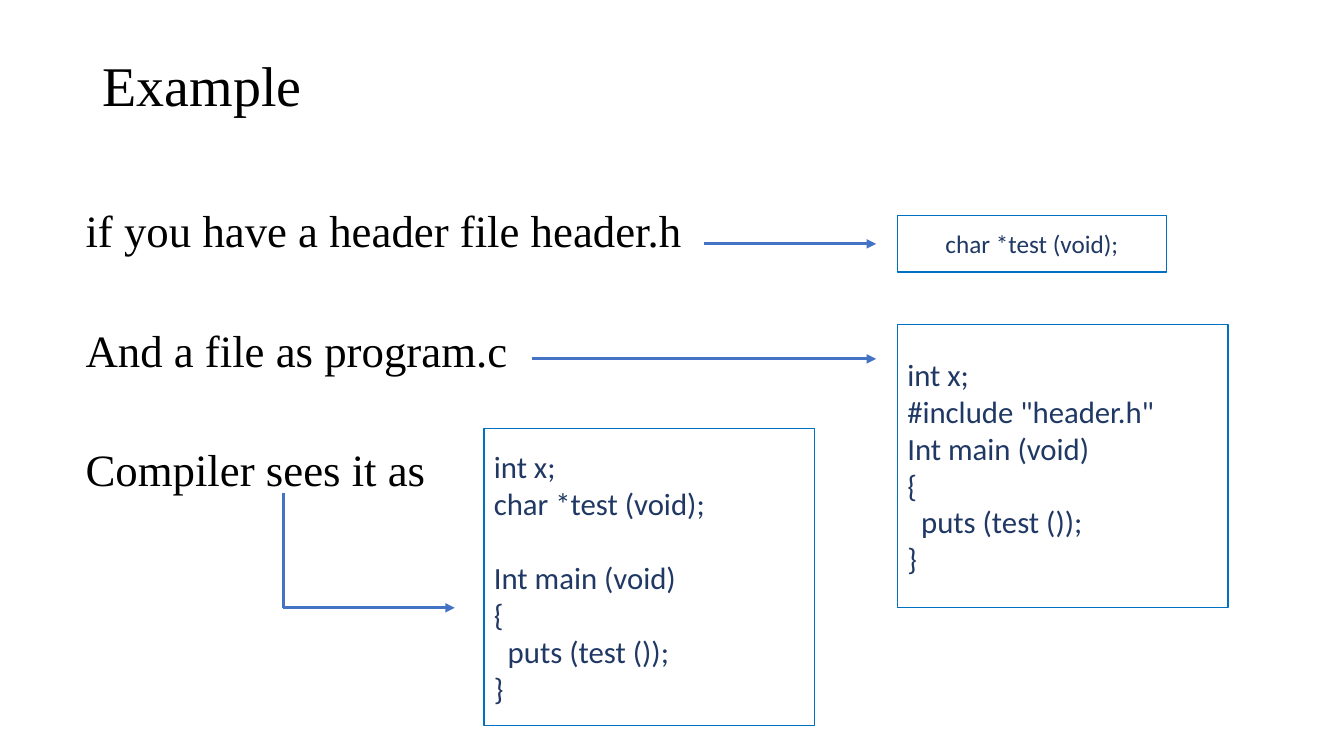
from lxml.etree import SubElement
from pptx import Presentation
from pptx.dml.color import RGBColor
from pptx.enum.shapes import MSO_CONNECTOR as Connector, MSO_SHAPE as Shape
from pptx.enum.text import MSO_ANCHOR as Anchor, PP_ALIGN as Align
from pptx.oxml.ns import qn
from pptx.util import Inches, Pt

BLACK = RGBColor(0x00, 0x00, 0x00)
NAVY = RGBColor(0x20, 0x38, 0x64)
BORDER = RGBColor(0x00, 0x70, 0xC0)
ARROW = RGBColor(0x44, 0x72, 0xC4)
SERIF = "Times New Roman"
SANS = "Calibri"

HEADER_CODE = ["char *test (void);"]
MAIN_CODE = ["Int main (void)", "{", "  puts (test ());", "}"]
PROGRAM_CODE = ["int x;", '#include "header.h"', *MAIN_CODE]
COMPILED_CODE = ["int x;", "char *test (void);", *MAIN_CODE]
STEPS = [
    "if you have a header file header.h",
    "And a file as program.c",
    "Compiler sees it as",
]


def write_lines(frame, lines, font, size, color, align=Align.LEFT, spacing=1.0):
    frame.word_wrap = True
    for index, line in enumerate(lines):
        para = frame.paragraphs[0] if index == 0 else frame.add_paragraph()
        para.text = line
        para.alignment = align
        para.line_spacing = spacing
        para.font.name = font
        para.font.size = Pt(size)
        para.font.color.rgb = color


def add_text(page, box, lines, size, anchor=Anchor.TOP, gap=0):
    frame = page.shapes.add_textbox(*map(Inches, box)).text_frame
    frame.vertical_anchor = anchor
    write_lines(frame, lines, SERIF, size, BLACK, spacing=0.9)
    for para in frame.paragraphs[1:]:
        para.space_before = Pt(gap)


def add_code(page, box, lines, size, align=Align.LEFT):
    panel = page.shapes.add_shape(Shape.RECTANGLE, *map(Inches, box))
    panel.shadow.inherit = False
    panel.fill.background()
    panel.line.color.rgb = BORDER
    panel.line.width = Pt(1)
    frame = panel.text_frame
    frame.vertical_anchor = Anchor.MIDDLE
    write_lines(frame, lines, SANS, size, NAVY, align)
    return frame


def add_line(page, start, end, head=True):
    line = page.shapes.add_connector(
        Connector.STRAIGHT, *map(Inches, (*start, *end)))
    line.line.color.rgb = ARROW
    line.line.width = Pt(2.25)
    properties = line._element.spPr
    if head:
        SubElement(properties.find(qn("a:ln")), qn("a:tailEnd"), type="triangle")
    SubElement(properties, qn("a:effectLst"))


def add_elbow(page, box):
    left, top, width, height = box
    corner = (left, top + height)
    add_line(page, corner, (left + width, top + height))
    add_line(page, (left, top), corner, head=False)


def build_example(page):
    add_text(page, (0.92, 0.15, 11.5, 1.45), ["Example"], 40, Anchor.MIDDLE)
    add_text(page, (0.75, 2.02, 6.49, 4.76), STEPS, 32, gap=51)

    add_code(page, (8.9, 2.14, 2.67, 0.56), HEADER_CODE, 18, Align.CENTER)
    add_code(page, (8.9, 3.22, 3.28, 2.81), PROGRAM_CODE, 22)
    compiled = add_code(page, (4.8, 4.25, 3.28, 2.95), COMPILED_CODE, 22)
    compiled.paragraphs[2].space_before = Pt(26.5)

    for left, middle in ((6.98, 2.42), (5.28, 3.56)):
        add_line(page, (left, middle), (8.69, middle))
    add_elbow(page, (2.81, 4.89, 1.7, 1.14))


def main():
    deck = Presentation()
    deck.slide_width = Inches(13.33)
    deck.slide_height = Inches(7.5)
    build_example(deck.slides.add_slide(deck.slide_layouts[6]))
    deck.save("out.pptx")


if __name__ == "__main__":
    main()
